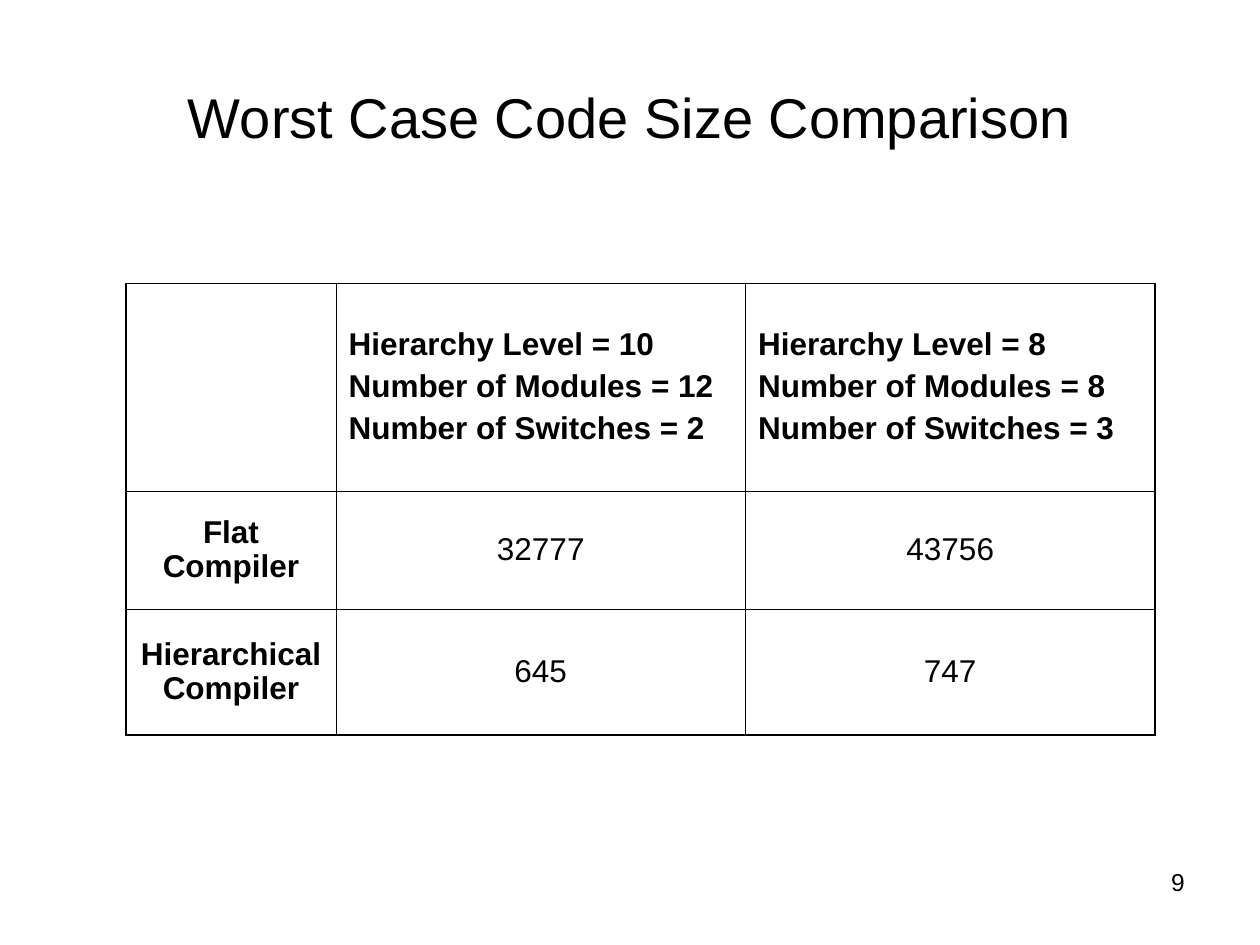
from pptx import Presentation
from pptx.dml.color import RGBColor
from pptx.enum.text import MSO_ANCHOR, PP_ALIGN
from pptx.oxml.ns import qn
from pptx.util import Pt
from lxml import etree

LEFT, CENTER, RIGHT = PP_ALIGN.LEFT, PP_ALIGN.CENTER, PP_ALIGN.RIGHT
TOP, MIDDLE = MSO_ANCHOR.TOP, MSO_ANCHOR.MIDDLE

TITLE = "Worst Case Code Size Comparison"
PAGE_NUMBER = "9"
ROWS = [
    [
        [],
        ["Hierarchy Level = 10", "Number of Modules = 12", "Number of Switches = 2"],
        ["Hierarchy Level = 8", "Number of Modules = 8", "Number of Switches = 3"],
    ],
    [["Flat Compiler"], ["32777"], ["43756"]],
    [["Hierarchical Compiler"], ["645"], ["747"]],
]

THEME = {
    "font": "Arial",
    "ink": "000000",
    "title_size": 32,
    "table_size": 18,
    "number_size": 14,
    "outer_line": 1.08,
    "inner_line": 0.45,
}
CELL_PARAGRAPH = {"space_before": Pt(4.5), "line_spacing": 0.97}

SLIDE_SIZE = (720, 540)
TITLE_BOX = (36, 21.6, 648, 90)
NUMBER_BOX = (516, 492, 168, 37.2)
TABLE_ORIGIN = (72, 162)
COLUMN_WIDTHS = [120, 234, 234]
ROW_HEIGHTS = [118.8, 67.2, 72]


def set_attributes(target, values):
    for name, value in values.items():
        setattr(target, name, value)


def write_lines(text_frame, lines, size, bold=False, **paragraph_format):
    for index, line in enumerate(lines):
        paragraph = text_frame.paragraphs[0] if index == 0 else text_frame.add_paragraph()
        set_attributes(paragraph, paragraph_format)
        run = paragraph.add_run()
        run.text = line
        set_attributes(run.font, {"name": THEME["font"], "size": Pt(size), "bold": bold})
        run.font.color.rgb = RGBColor.from_string(THEME["ink"])


def add_text(slide, box, text, size, alignment, anchor):
    shape = slide.shapes.add_textbox(*map(Pt, box))
    set_attributes(shape.text_frame, {"word_wrap": True, "vertical_anchor": anchor})
    write_lines(shape.text_frame, [text], size, alignment=alignment)


def set_borders(cell, outer_sides):
    properties = cell._tc.get_or_add_tcPr()
    for index, (side, is_outer) in enumerate(outer_sides.items()):
        width = THEME["outer_line" if is_outer else "inner_line"]
        line = etree.Element(qn(f"a:{side}"), w=str(Pt(width)))
        fill = etree.SubElement(line, qn("a:solidFill"))
        etree.SubElement(fill, qn("a:srgbClr"), val=THEME["ink"])
        properties.insert(index, line)


def add_comparison_table(slide):
    last_row, last_column = len(ROW_HEIGHTS) - 1, len(COLUMN_WIDTHS) - 1
    size = (sum(COLUMN_WIDTHS), sum(ROW_HEIGHTS))
    table = slide.shapes.add_table(
        len(ROW_HEIGHTS), len(COLUMN_WIDTHS), *map(Pt, TABLE_ORIGIN + size)
    ).table
    set_attributes(table, {"first_row": False, "horz_banding": False})
    for column, width in zip(table.columns, COLUMN_WIDTHS):
        column.width = Pt(width)
    for row, height in zip(table.rows, ROW_HEIGHTS):
        row.height = Pt(height)
    for row_index, row in enumerate(ROWS):
        for column_index, lines in enumerate(row):
            cell = table.cell(row_index, column_index)
            cell.fill.background()
            cell.vertical_anchor = MIDDLE
            is_header = row_index == 0
            write_lines(
                cell.text_frame,
                lines,
                THEME["table_size"],
                bold=is_header or column_index == 0,
                alignment=LEFT if is_header else CENTER,
                **CELL_PARAGRAPH,
            )
            set_borders(cell, {
                "lnL": column_index == 0,
                "lnR": column_index == last_column,
                "lnT": row_index == 0,
                "lnB": row_index == last_row,
            })


def main():
    presentation = Presentation()
    presentation.slide_width, presentation.slide_height = map(Pt, SLIDE_SIZE)
    slide = presentation.slides.add_slide(presentation.slide_layouts[6])
    add_comparison_table(slide)
    add_text(slide, TITLE_BOX, TITLE, THEME["title_size"], CENTER, MIDDLE)
    add_text(slide, NUMBER_BOX, PAGE_NUMBER, THEME["number_size"], RIGHT, TOP)
    presentation.save("out.pptx")


if __name__ == "__main__":
    main()
